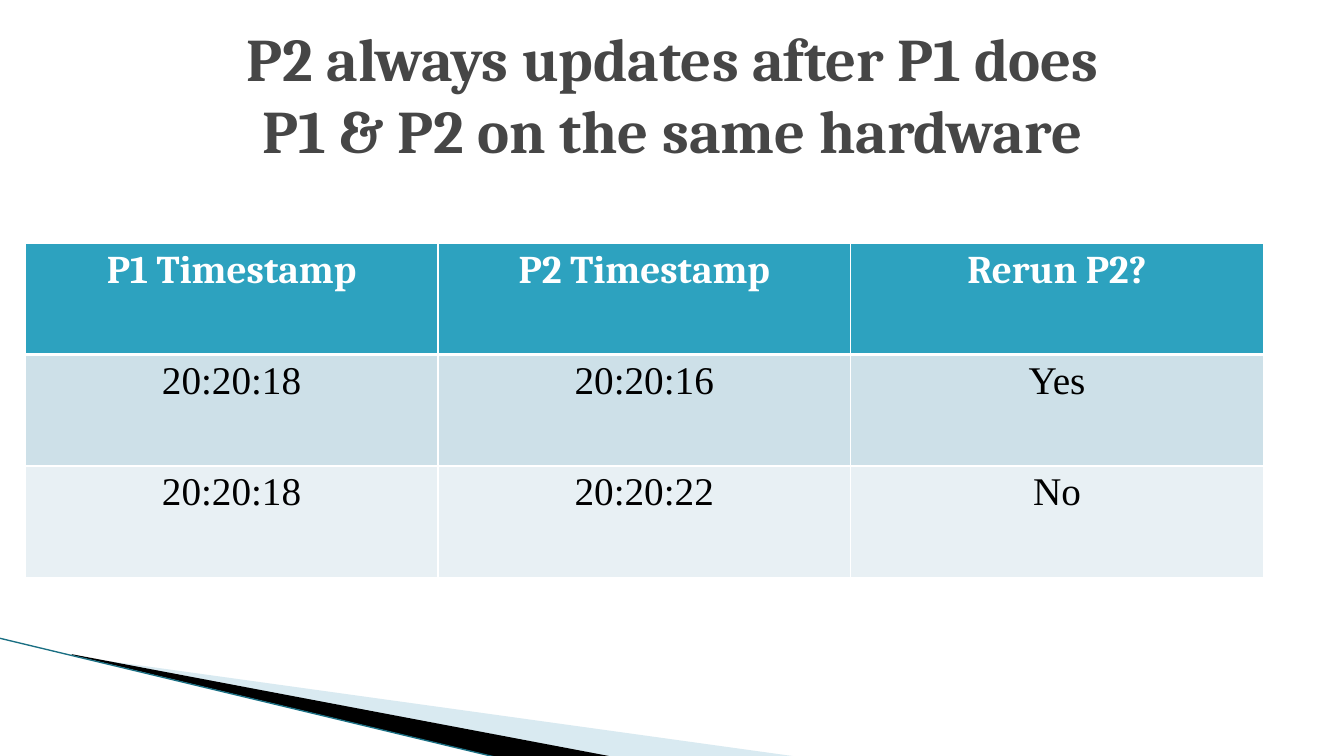
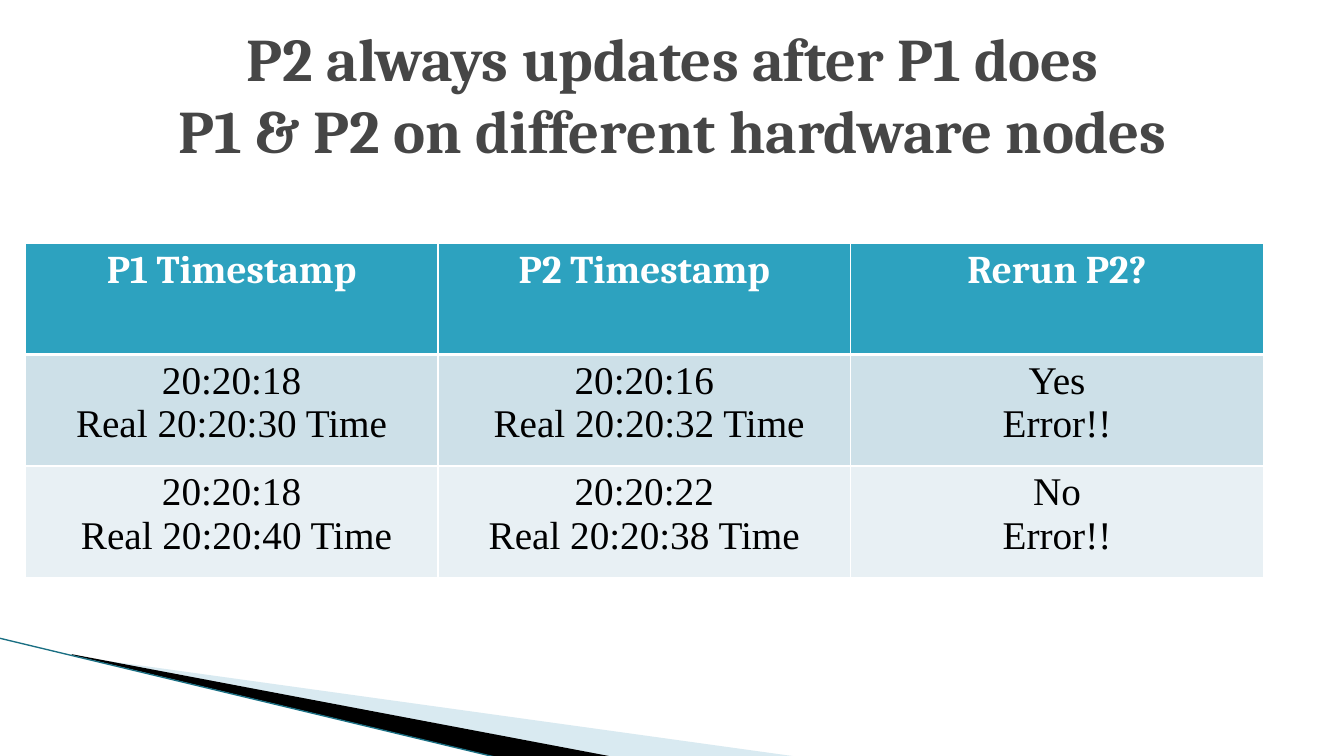
"""Build two slides comparing the timestamps of processes P1 and P2."""
import lxml.etree
import pptx
import pptx.dml.color
import pptx.enum.shapes
import pptx.enum.text
import pptx.oxml.ns
import pptx.util

Inches = pptx.util.Inches
Pt = pptx.util.Pt
RGBColor = pptx.dml.color.RGBColor
qn = pptx.oxml.ns.qn

WHITE = RGBColor(0xFF, 0xFF, 0xFF)
BLACK = RGBColor(0x00, 0x00, 0x00)
TITLE_GREY = RGBColor(0x46, 0x46, 0x46)
HEADER_TEAL = RGBColor(0x2D, 0xA2, 0xBF)
ROW_FILLS = (RGBColor(0xCD, 0xE0, 0xE8), RGBColor(0xE8, 0xF0, 0xF4))
SWOOSH_BLUE = RGBColor(0xA0, 0xCB, 0xDC)
EDGE_TEAL = RGBColor(0x1A, 0x6F, 0x83)

TITLE_FONT = {"name": "Cambria", "size": Pt(43.2), "bold": True}
HEADER_FONT = {"name": "Cambria", "size": Pt(28), "bold": True}
BODY_FONT = {"name": "Times New Roman", "size": Pt(28), "bold": False}

HEADINGS = ("P1 Timestamp", "P2 Timestamp", "Rerun P2?")
SLIDES = (
    ("P2 always updates after P1 does\vP1 & P2 on the same hardware",
     (("20:20:18", "20:20:16", "Yes"),
      ("20:20:18", "20:20:22", "No"))),
    ("P2 always updates after P1 does\vP1 & P2 on different hardware nodes",
     (("20:20:18\nReal 20:20:30 Time", "20:20:16\n Real 20:20:32 Time", "Yes\nError!!"),
      ("20:20:18\n Real 20:20:40 Time", "20:20:22\nReal 20:20:38 Time", "No\nError!!"))),
)


def format_text(frame, font, color):
    """Centre every paragraph and give it one font and colour."""
    for paragraph in frame.paragraphs:
        paragraph.alignment = pptx.enum.text.PP_ALIGN.CENTER
        for run in paragraph.runs:
            for attribute, value in font.items():
                setattr(run.font, attribute, value)
            run.font.color.rgb = color


def add_title(slide, wording):
    """Place and format the title placeholder."""
    title = slide.shapes.title
    place = {"left": 0.67, "top": 0.3, "width": 12, "height": 1.25}
    for attribute, value in place.items():
        setattr(title, attribute, Inches(value))
    frame = title.text_frame
    frame.text = wording
    frame.auto_size = pptx.enum.text.MSO_AUTO_SIZE.NONE
    frame.vertical_anchor = pptx.enum.text.MSO_ANCHOR.MIDDLE
    format_text(frame, TITLE_FONT, TITLE_GREY)


def add_wedge(slide, points, color, opacity=100):
    """Draw a filled polygon without an outline."""
    start, *others = [(Inches(x), Inches(y)) for x, y in points]
    builder = slide.shapes.build_freeform(*start)
    builder.add_line_segments(others)
    wedge = builder.convert_to_shape()
    wedge.shadow.inherit = False
    wedge.fill.solid()
    wedge.fill.fore_color.rgb = color
    wedge.line.fill.background()
    if opacity < 100:
        shade = wedge.element.spPr.find(".//" + qn("a:srgbClr"))
        lxml.etree.SubElement(shade, qn("a:alpha"), val=str(opacity * 1000))


def add_swoosh(slide):
    """Draw the corner decoration shared by all slides."""
    add_wedge(slide, ((0.73, 6.51), (7.93, 7.51), (6.08, 7.51), (0.73, 6.5)), SWOOSH_BLUE, 40)
    add_wedge(slide, ((0.71, 6.49), (6.09, 7.51), (4.96, 7.52), (0.72, 6.5)), BLACK)
    edge = slide.shapes.add_connector(
        pptx.enum.shapes.MSO_CONNECTOR.STRAIGHT,
        Inches(-0.01), Inches(6.33), Inches(4.95), Inches(7.52))
    edge.line.color.rgb = EDGE_TEAL
    edge.line.width = Pt(0.95)
    lxml.etree.SubElement(edge.element.spPr, qn("a:effectLst"))


def add_borders(cell, widths):
    """Give a cell white borders of the given widths in points."""
    properties = cell._tc.get_or_add_tcPr()
    for side, width in widths.items():
        border = lxml.etree.SubElement(properties, qn(f"a:ln{side}"), w=str(Pt(width)))
        fill = lxml.etree.SubElement(border, qn("a:solidFill"))
        lxml.etree.SubElement(fill, qn("a:srgbClr"), val=str(WHITE))


def add_timestamps(slide, body):
    """Add the timestamp table with its header row."""
    rows = (HEADINGS, *body)
    table = slide.shapes.add_table(
        len(rows), len(HEADINGS),
        Inches(0.25), Inches(2.41), Inches(12.28), Inches(3.32)).table
    table.horz_banding = False
    for r, texts in enumerate(rows):
        is_header = r == 0
        for c, wording in enumerate(texts):
            cell = table.cell(r, c)
            cell.text = wording
            format_text(cell.text_frame, HEADER_FONT if is_header else BODY_FONT,
                        WHITE if is_header else BLACK)
            add_borders(cell, {"L": 1, "R": 1, "T": 3 if r == 1 else 1, "B": 3 if is_header else 1})
            cell.fill.solid()
            cell.fill.fore_color.rgb = HEADER_TEAL if is_header else ROW_FILLS[(r - 1) % 2]


def main():
    """Build and save the presentation."""
    deck = pptx.Presentation()
    deck.slide_width = Inches(13.33)
    deck.slide_height = Inches(7.5)
    title_only = deck.slide_layouts[5]
    for wording, body in SLIDES:
        slide = deck.slides.add_slide(title_only)
        add_swoosh(slide)
        add_timestamps(slide, body)
        add_title(slide, wording)
    deck.save("out.pptx")


if __name__ == "__main__":
    main()
